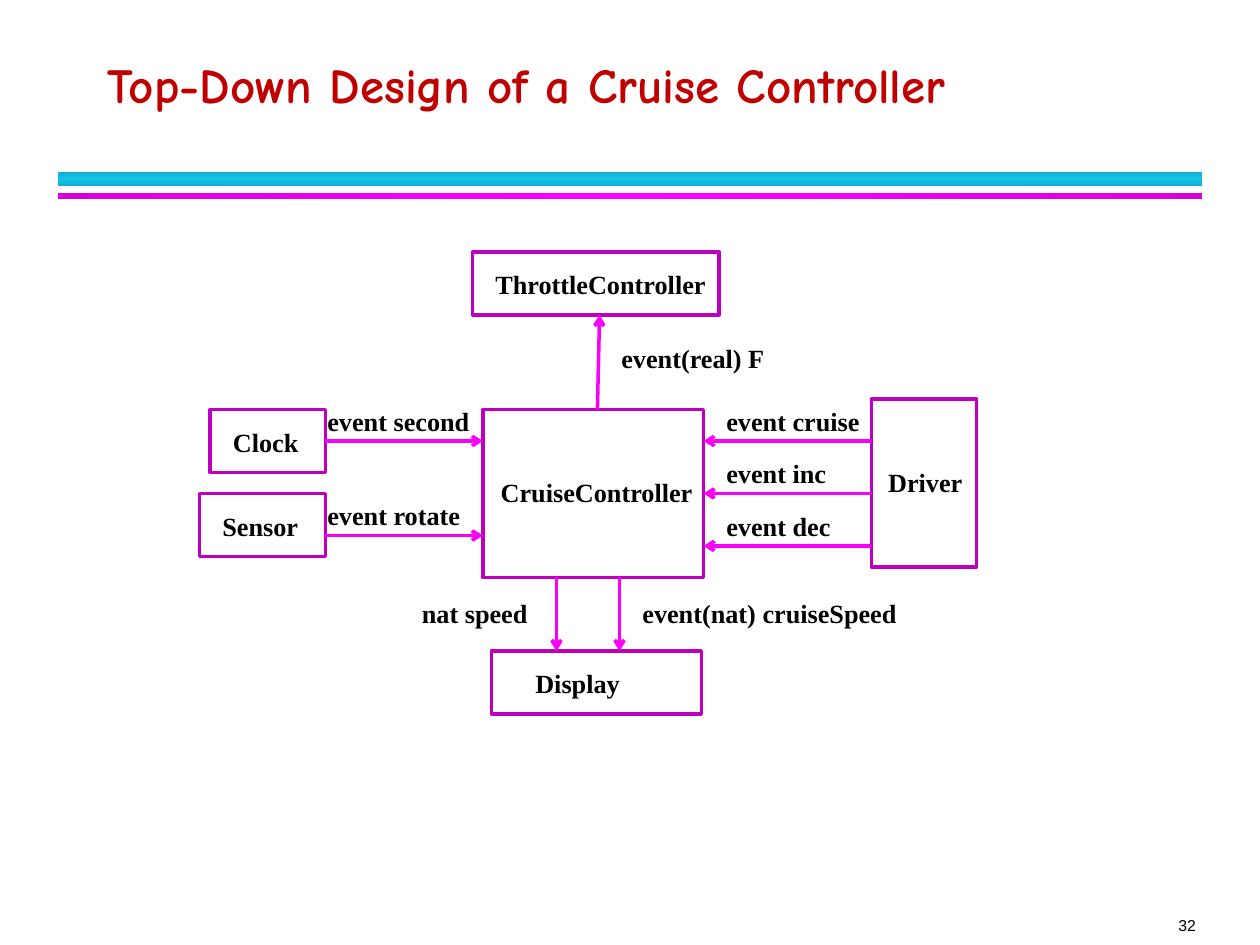
from collections import namedtuple
from copy import deepcopy

from lxml.etree import SubElement
from pptx import Presentation
from pptx.dml.color import RGBColor
from pptx.enum.shapes import MSO_CONNECTOR, MSO_SHAPE
from pptx.enum.text import MSO_ANCHOR, PP_ALIGN
from pptx.oxml.ns import qn
from pptx.util import Inches, Pt

COLORS = {
    "title": "C00000",
    "text": "000000",
    "outline": "BD00BD",
    "arrow": "F900F9",
    "cyan_edge": "10B0D3",
    "cyan": "12C2E9",
    "magenta_edge": "DA00DA",
    "magenta": "FF00FF",
}
WIDTH, HEIGHT = Inches(10), Inches(7.5)
COLUMN, ROW = WIDTH / 120, HEIGHT / 90
LABEL_ROWS = 4.2

Box = namedtuple("Box", "left top width height")


def within(box, left, top, width, height):
    return Box(box.left + left, box.top + top, width, height)


def lengths(box):
    return (round(box.left * COLUMN), round(box.top * ROW),
            round(box.width * COLUMN), round(box.height * ROW))


def color(name):
    return RGBColor.from_string(COLORS[name])


def write(shape, text, *, size=15, font="Times New Roman", fill="text", bold=True,
          align=PP_ALIGN.LEFT, anchor=MSO_ANCHOR.TOP, insets=(0.1, 0.05), spacing=None):
    frame = shape.text_frame
    frame.word_wrap = True
    frame.vertical_anchor = anchor
    frame.margin_left = frame.margin_right = Inches(insets[0])
    frame.margin_top = frame.margin_bottom = Inches(insets[1])
    paragraph = frame.paragraphs[0]
    paragraph.alignment = align
    if spacing:
        paragraph.line_spacing = Pt(spacing)
    run = paragraph.add_run()
    run.text = text
    run.font.size = Pt(size)
    run.font.name = font
    run.font.bold = bold
    run.font.color.rgb = color(fill)


def add_label(slide, box, text, **style):
    write(slide.shapes.add_textbox(*lengths(box)), text, **style)


def add_rectangle(slide, box):
    rectangle = slide.shapes.add_shape(MSO_SHAPE.RECTANGLE, *lengths(box))
    rectangle.shadow.inherit = False
    return rectangle


def add_bar(slide, box, edge, middle, angle):
    bar = add_rectangle(slide, box)
    bar.line.fill.background()
    bar.fill.gradient()
    bar.fill.gradient_angle = angle
    stop_list = bar.fill._fill._gradFill.find(qn("a:gsLst"))
    stop_list.insert(1, deepcopy(stop_list[0]))
    for stop, position, name in zip(bar.fill.gradient_stops, (0, 0.5, 1), (edge, middle, edge)):
        stop.position = position
        stop.color.rgb = color(name)


def add_component(slide, box, name, indent, drop):
    rectangle = add_rectangle(slide, box)
    rectangle.fill.background()
    rectangle.line.color.rgb = color("outline")
    rectangle.line.width = Pt(2)
    add_label(slide, within(box, indent, drop, box.width, LABEL_ROWS), name)
    return rectangle


def add_arrow(slide, box, start, end):
    points = [round(length) for column, row in (start, end)
              for length in ((box.left + column) * COLUMN, (box.top + row) * ROW)]
    arrow = slide.shapes.add_connector(MSO_CONNECTOR.STRAIGHT, *points)
    arrow.line.color.rgb = color("arrow")
    arrow.line.width = Pt(2)
    SubElement(arrow.line._get_or_add_ln(), qn("a:tailEnd"), type="arrow")
    SubElement(arrow._element.spPr, qn("a:effectLst"))
    return arrow


def add_header(slide, box, text):
    title = slide.shapes.title
    title.left, title.top, title.width, title.height = lengths(within(box, 3.5, 0, 103, 9.4))
    write(title, text, size=28, font="Comic Neue", fill="title",
          anchor=MSO_ANCHOR.BOTTOM, spacing=36)
    add_bar(slide, within(box, 0, 14.4, box.width, 1.3), "cyan_edge", "cyan", 90)
    add_bar(slide, within(box, 0, 16.4, box.width, 0.6), "magenta_edge", "magenta", 0)


def add_diagram(slide, box):
    components = [
        ("CruiseController", (27, 15, 21, 16), 0.5, 5.8),
        ("Driver", (64, 14, 10, 16), 0.4, 5.8),
        ("Clock", (1, 15, 11, 6), 1, 1),
        ("Sensor", (0, 23, 12, 6), 1, 1),
        ("Display", (27.8, 38, 20, 6), 3, 1),
        ("ThrottleController", (26, 0, 23.5, 6), 1, 1),
    ]
    rectangles = {name: add_component(slide, within(box, *place), name, indent, drop)
                  for name, place, indent, drop in components}

    labels = [
        ("event second", 11, 14, 17),
        ("event rotate", 11, 23, 17),
        ("event cruise", 49, 14, 17),
        ("event inc", 49, 19, 17),
        ("event dec", 49, 24, 17),
        ("nat speed", 20, 32.3, 13),
        ("event(nat) cruiseSpeed", 41, 32.3, 28),
        ("event(real) F", 39, 8, 31),
    ]
    for text, left, top, width in labels:
        add_label(slide, within(box, left, top, width, LABEL_ROWS), text)

    for row in (18, 27):
        add_arrow(slide, box, (12, row), (27, row))
    driver_arrows = [add_arrow(slide, box, (64, row), (48, row)) for row in (18, 23, 28)]
    driver_arrows[1].end_connect(rectangles["CruiseController"], 3)
    for column in (34, 40):
        add_arrow(slide, box, (column, 31), (column, 38))
    add_arrow(slide, box, (37.9, 15), (38.1, 6))


def main():
    presentation = Presentation()
    presentation.slide_width, presentation.slide_height = WIDTH, HEIGHT
    slide = presentation.slides.add_slide(presentation.slide_layouts[5])
    add_header(slide, Box(5.5, 2, 109, 17), "Top-Down Design of a Cruise Controller")
    add_diagram(slide, Box(19, 24, 74, 44))
    add_label(slide, Box(105.1, 87.2, 8.8, 1.8), "32", size=9, font="Arial", bold=False,
              align=PP_ALIGN.RIGHT, anchor=MSO_ANCHOR.BOTTOM, insets=(0, 0))
    presentation.save("out.pptx")


if __name__ == "__main__":
    main()
